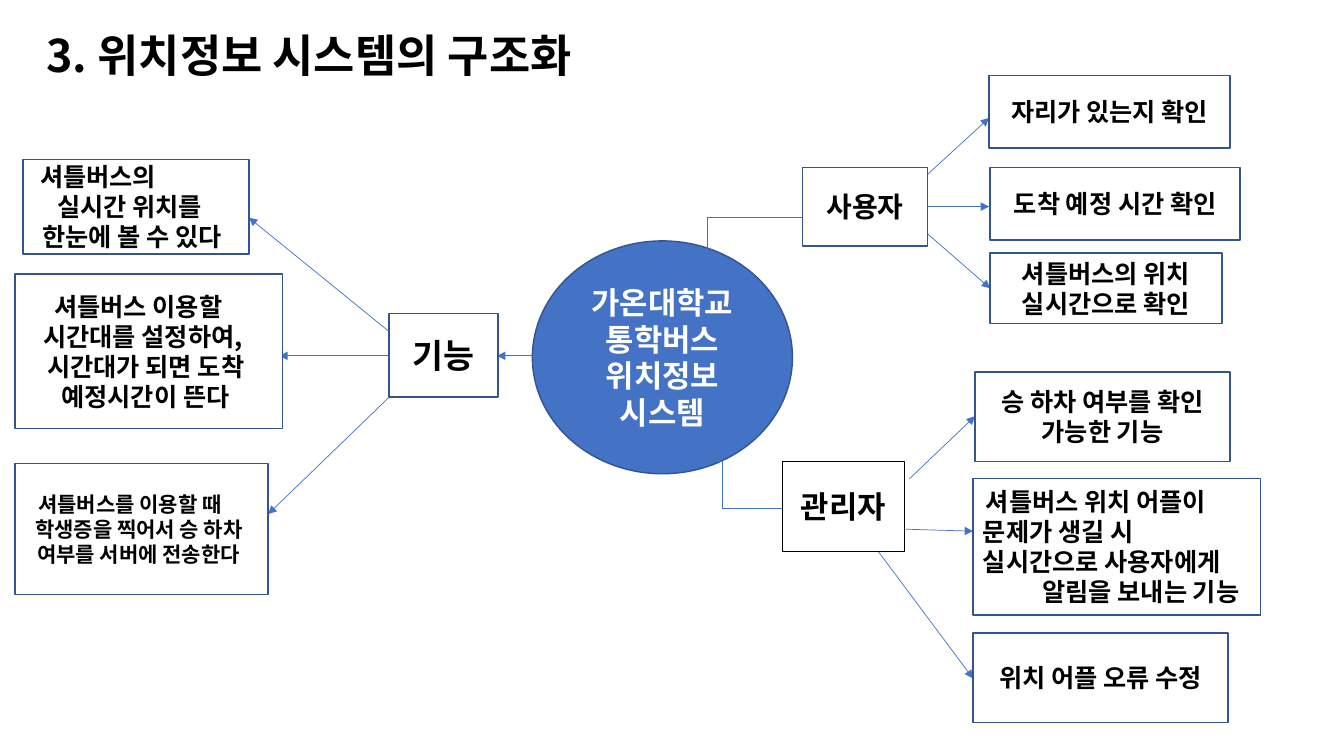
from lxml.etree import SubElement
from pptx import Presentation
from pptx.dml.color import RGBColor
from pptx.enum.shapes import MSO_CONNECTOR, MSO_SHAPE
from pptx.enum.text import MSO_ANCHOR, MSO_AUTO_SIZE, PP_ALIGN
from pptx.oxml.ns import qn
from pptx.util import Inches, Pt

BLUE = RGBColor(0x44, 0x72, 0xC4)
NAVY = RGBColor(0x32, 0x54, 0x91)
BLACK = RGBColor(0, 0, 0)
WHITE = RGBColor(255, 255, 255)
FONT = "Noto Sans CJK KR"
LINE_HEIGHT = 1.19

# Boxes are left, top, width, height within the region; arrows are from and to.
# A text line is a string (centred) or a pair of string and left indent.
FEATURES = {
    "link": ((5.17, 1.95), (4.78, 1.95), None),
    "hub": ((3.71, 1.53, 1.08, 0.83), ["기능"], 24, NAVY),
    "arrows": [((3.71, 1.71), (2.32, 0.58)),
               ((3.71, 1.95), (2.62, 1.95)),
               ((3.71, 2.36), (2.51, 3.52))],
    "leaves": [
        ((0.08, 0, 2.24, 0.94), 18,
         [("셔틀버스의", 0.07), ("실시간 위치를", 0.24), ("한눈에 볼 수 있다", 0.09)]),
        ((0, 1.14, 2.65, 1.53), 18,
         [("셔틀버스 이용할", 0.29), ("시간대를 설정하여,", 0.18),
          ("시간대가 되면 도착", 0.22), ("예정시간이 뜬다", 0.36)]),
        ((0, 3.02, 2.51, 1.3), 15,
         [("셔틀버스를 이용할 때", 0.13), ("학생증을 찍어서 승 하차", 0.1),
          ("여부를 서버에 전송한다", 0.12)]),
    ],
}
USER = {
    "link": ((0.02, 1.83), (1.4, 1.41), 0),
    "hub": ((0.96, 0.91, 1.24, 0.78), ["사용자"], 20, NAVY),
    "arrows": [((2.2, 0.98), (2.81, 0.42)),
               ((2.2, 1.3), (2.81, 1.3)),
               ((2.2, 1.57), (2.82, 2.11))],
    "leaves": [
        ((2.81, 0, 2.39, 0.72), 18, ["자리가 있는지 확인"]),
        ((2.82, 0.91, 2.48, 0.72), 18, ["도착 예정 시간 확인"]),
        ((2.82, 1.76, 2.3, 0.7), 18, ["셔틀버스의 위치", "실시간으로 확인"]),
    ],
}
MANAGER = {
    "link": ((0, 0.89), (0.73, 1.35), 0.077),
    "hub": ((0.65, 0.89, 1.21, 0.89), ["관리자"], 22, BLACK),
    "arrows": [((1.91, 1.06), (2.56, 0.44)),
               ((1.87, 1.56), (2.54, 1.58)),
               ((1.6, 1.78), (2.54, 3.04))],
    "leaves": [
        ((2.56, 0, 2.53, 0.89), 18, ["승 하차 여부를 확인", "가능한 기능"]),
        ((2.54, 1.06, 2.85, 1.35), 18,
         [("셔틀버스 위치 어플이", 0.03), ("문제가 생길 시", 0),
          ("실시간으로 사용자에게", 0), ("알림을 보내는 기능", 0.59)]),
        ((2.54, 2.59, 2.53, 0.89), 18, ["위치 어플 오류 수정"]),
    ],
}


def write_lines(text_frame, lines, size, color, alignment=PP_ALIGN.CENTER):
    text_frame.word_wrap = True
    for index, line in enumerate(lines):
        text, indent = line if isinstance(line, tuple) else (line, None)
        paragraph = text_frame.add_paragraph() if index else text_frame.paragraphs[0]
        paragraph.alignment = alignment
        paragraph.line_spacing = Pt(round(size * LINE_HEIGHT, 1))
        if indent is not None:
            paragraph.alignment = PP_ALIGN.LEFT
            paragraph._p.get_or_add_pPr().set("marL", str(Inches(indent)))
        run = paragraph.add_run()
        run.text = text
        for name, value in {"name": FONT, "size": Pt(size), "bold": True}.items():
            setattr(run.font, name, value)
        run.font.color.rgb = color
        SubElement(run._r.get_or_add_rPr(), qn("a:ea")).set("typeface", FONT)


def add_node(slide, kind, box, lines, size, fill, line, color):
    shape = slide.shapes.add_shape(kind, *map(Inches, box))
    shape.shadow.inherit = False
    shape.fill.solid()
    shape.fill.fore_color.rgb = fill
    shape.line.color.rgb = line
    shape.line.width = Pt(1)
    shape.text_frame.vertical_anchor = MSO_ANCHOR.MIDDLE
    write_lines(shape.text_frame, lines, size, color)


def add_arrow(slide, origin, start, end, bend=None):
    """Draw a straight arrow, or an elbow that turns at the share `bend` of its width."""
    left, top = origin
    kind = MSO_CONNECTOR.STRAIGHT if bend is None else MSO_CONNECTOR.ELBOW
    connector = slide.shapes.add_connector(
        kind, Inches(left + start[0]), Inches(top + start[1]),
        Inches(left + end[0]), Inches(top + end[1]))
    connector.line.color.rgb = BLUE
    connector.line.width = Pt(0.5)
    properties = connector._element.spPr
    SubElement(properties.find(qn("a:ln")), qn("a:tailEnd")).set("type", "triangle")
    SubElement(properties, qn("a:effectLst"))
    if bend is not None:
        adjustments = properties.find(qn("a:prstGeom")).find(qn("a:avLst"))
        guide = SubElement(adjustments, qn("a:gd"))
        guide.set("name", "adj1")
        guide.set("fmla", f"val {round(bend * 100000)}")


def add_title(slide, box):
    title = slide.shapes.title
    for name, value in zip(("left", "top", "width", "height"), box):
        setattr(title, name, Inches(value))
    title.text_frame.vertical_anchor = MSO_ANCHOR.TOP
    title.text_frame.auto_size = MSO_AUTO_SIZE.NONE
    write_lines(title.text_frame, ["3. 위치정보 시스템의 구조화"], 32, BLACK, PP_ALIGN.LEFT)


def add_center(slide, box):
    lines = ["가온대학교", "통학버스", "위치정보", "시스템"]
    add_node(slide, MSO_SHAPE.OVAL, box, lines, 22, BLUE, NAVY, WHITE)


def add_branch(slide, origin, branch):
    """Place a hub, its link to the centre and its three leaves from the region's corner."""
    def place(box):
        return (origin[0] + box[0], origin[1] + box[1], *box[2:])

    # Link and arrows lie behind the boxes
    add_arrow(slide, origin, *branch["link"])
    for start, end in branch["arrows"]:
        add_arrow(slide, origin, start, end)
    # Hub and leaves
    box, lines, size, line = branch["hub"]
    add_node(slide, MSO_SHAPE.RECTANGLE, place(box), lines, size, WHITE, line, BLACK)
    for box, size, lines in branch["leaves"]:
        add_node(slide, MSO_SHAPE.RECTANGLE, place(box), lines, size, WHITE, NAVY, BLACK)


def main():
    presentation = Presentation()
    presentation.slide_width = Inches(13.33)
    presentation.slide_height = Inches(7.5)
    slide = presentation.slides.add_slide(presentation.slide_layouts[5])
    add_title(slide, (0.36, 0.23, 6.11, 0.64))
    add_center(slide, (5.28, 2.39, 2.58, 2.31))
    add_branch(slide, (7, 0.75), USER)
    add_branch(slide, (7.11, 3.69), MANAGER)
    add_branch(slide, (0.15, 1.58), FEATURES)
    presentation.save("out.pptx")


if __name__ == "__main__":
    main()
